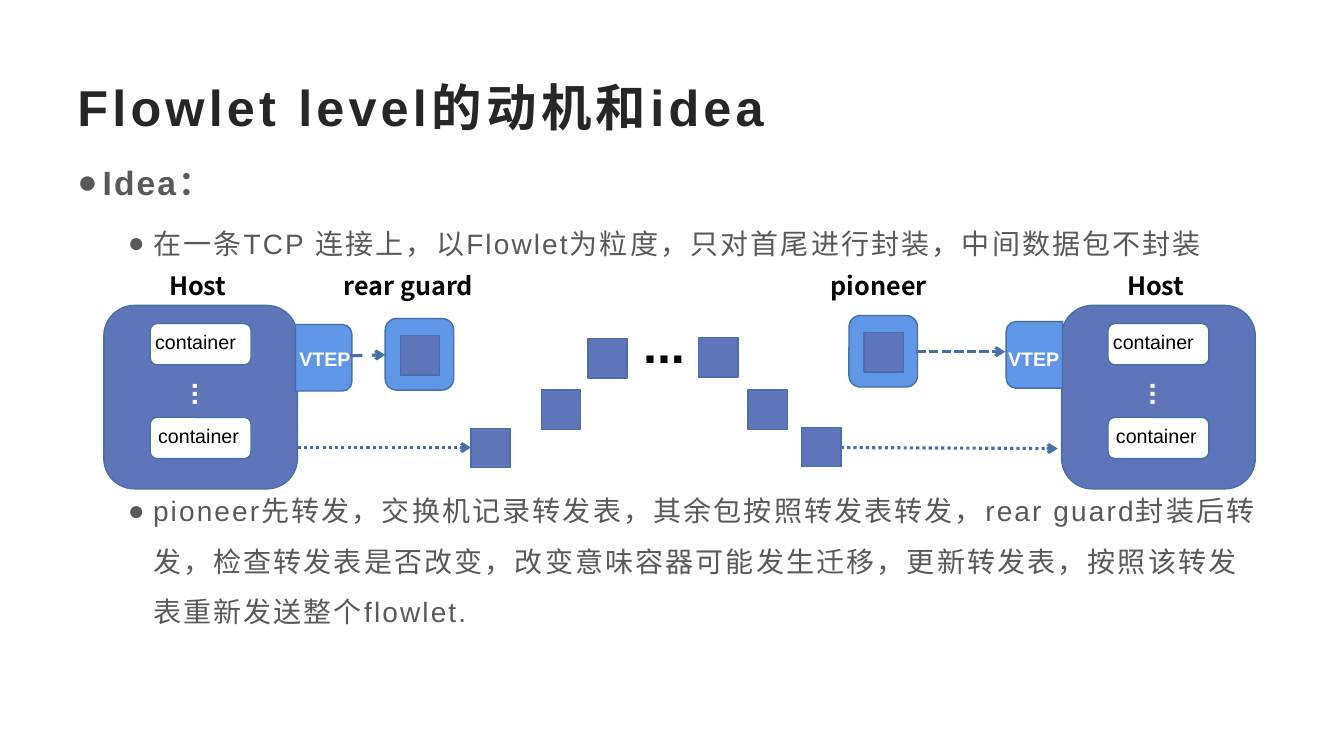
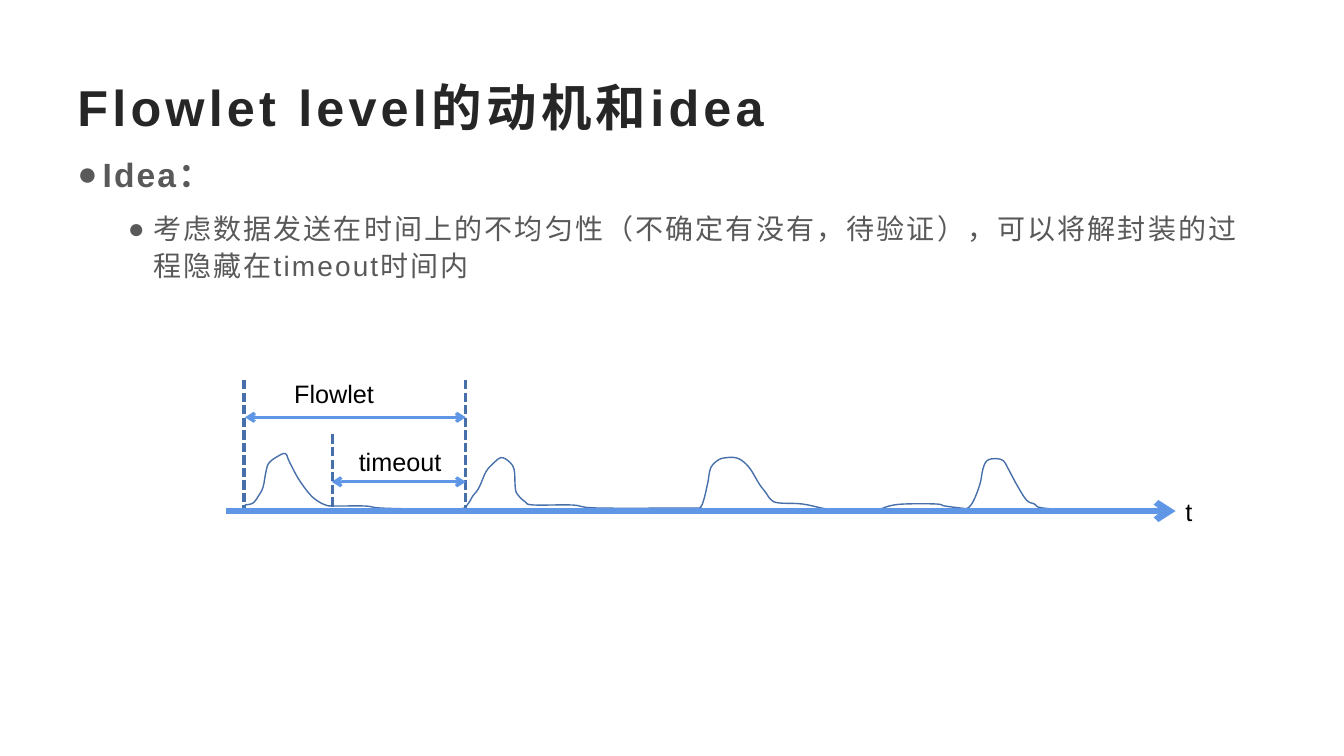
from lxml import etree
from pptx import Presentation
from pptx.dml.color import RGBColor
from pptx.enum.dml import MSO_LINE
from pptx.enum.shapes import MSO_CONNECTOR, MSO_SHAPE
from pptx.enum.text import MSO_ANCHOR
from pptx.oxml.ns import qn
from pptx.util import Inches, Pt

RECT = MSO_SHAPE.RECTANGLE
ROUND_RECT = MSO_SHAPE.ROUNDED_RECTANGLE
TAB = MSO_SHAPE.ROUND_2_SAME_RECTANGLE
STRAIGHT = MSO_CONNECTOR.STRAIGHT
MIDDLE = MSO_ANCHOR.MIDDLE
DASH, SHORT_DASH, DOT = MSO_LINE.DASH, MSO_LINE.SQUARE_DOT, MSO_LINE.ROUND_DOT

LATIN, CJK = "Arial", "Noto Sans CJK SC"
COLORS = {
    "title": "262626", "body": "595959", "black": "000000", "white": "FFFFFF",
    "packet": "5E75BA", "capsule": "6096E6", "outline": "476FAA",
}
TITLE = "Flowlet level的动机和idea"
PACKET = 0.39

# Traffic over time: points of the curve, in inches
TRAFFIC = [
    (2.43, 5.01), (2.51, 4.99), (2.57, 4.91), (2.61, 4.83), (2.64, 4.67), (2.67, 4.59),
    (2.75, 4.53), (2.83, 4.5), (2.87, 4.58), (2.96, 4.75), (3.07, 4.9), (3.15, 4.97),
    (3.23, 5.01), (3.3, 5.02), (3.62, 5.02), (3.77, 5.04), (4.17, 5.05), (4.56, 5.05),
    (4.64, 5), (4.69, 4.92), (4.75, 4.84), (4.82, 4.68), (4.89, 4.6), (4.97, 4.54),
    (5.05, 4.58), (5.1, 4.66), (5.11, 4.83), (5.13, 4.9), (5.21, 4.98), (5.29, 5.01),
    (5.68, 5.01), (5.92, 5.04), (6.87, 5.04), (6.94, 5.04), (6.98, 4.96), (7.02, 4.79),
    (7.05, 4.64), (7.13, 4.56), (7.21, 4.54), (7.29, 4.54), (7.36, 4.57), (7.44, 4.65),
    (7.53, 4.8), (7.59, 4.88), (7.65, 4.96), (7.73, 4.99), (7.96, 5), (8.2, 5.05),
    (8.43, 5.07), (8.66, 5.07), (8.82, 5.02), (8.97, 5), (9.29, 5), (9.37, 5.02),
    (9.53, 5.04), (9.6, 5.04), (9.66, 4.96), (9.72, 4.8), (9.75, 4.65), (9.79, 4.57),
    (9.87, 4.55), (9.95, 4.57), (10, 4.65), (10.08, 4.8), (10.18, 4.96), (10.26, 5),
    (10.34, 5.04), (10.73, 5.06), (11.54, 5.06),
]


def rgb(name):
    return RGBColor.from_string(COLORS[name])


def set_font(paragraph, size, color, bold=False, face=LATIN, spacing=0):
    font = paragraph.font
    font.size, font.bold, font.name = Pt(size), bold, face
    font.color.rgb = rgb(color)
    defaults = paragraph._p.pPr.find(qn("a:defRPr"))
    etree.SubElement(defaults, qn("a:ea"), typeface=CJK)
    if spacing:
        defaults.set("spc", str(int(spacing * 100)))
    return defaults


def add_label(slide, box, text, size, color="black", vertical=False, **style):
    frame = slide.shapes.add_textbox(*map(Inches, box)).text_frame
    frame.word_wrap = True
    paragraph = frame.paragraphs[0]
    paragraph.text = text
    set_font(paragraph, size, color, **style)
    if vertical:
        frame._txBody.bodyPr.set("vert", "eaVert")
    return frame


def add_bullet(paragraph, text, level, line_spacing, space_before=0):
    """Heading bullets are level 0, detail bullets level 1."""
    paragraph.text, paragraph.level = text, level
    paragraph.line_spacing = line_spacing
    paragraph.space_before = Pt(space_before)
    paragraph.space_after = Pt(6 if level else 10)
    defaults = set_font(paragraph, 20 if level else 24, "body", bold=not level, spacing=1.5)
    props = paragraph._p.pPr
    props.set("marL", str(Inches(0.75 if level else 0.25)))
    props.set("indent", str(Inches(-0.25)))
    for tag, attribute, value in (("a:buFont", "typeface", LATIN), ("a:buChar", "char", "●")):
        mark = etree.Element(qn(tag))
        mark.set(attribute, value)
        defaults.addprevious(mark)


def add_idea_slide(prs, body_height, bullets):
    """Title and bulleted body that both slides share."""
    slide = prs.slides.add_slide(prs.slide_layouts[6])
    title = add_label(slide, (0.67, 0.67, 12, 0.77), TITLE, 36, "title", bold=True, spacing=3)
    title.vertical_anchor = MIDDLE
    body = slide.shapes.add_textbox(*map(Inches, (0.67, 1.44, 12, body_height))).text_frame
    body.word_wrap = True
    for i, bullet in enumerate(bullets):
        add_bullet(body.add_paragraph() if i else body.paragraphs[0], *bullet)
    return slide


def add_block(slide, kind, box, fill, rotation=0):
    block = slide.shapes.add_shape(kind, *map(Inches, box))
    block.shadow.inherit = False
    block.fill.solid()
    block.fill.fore_color.rgb = rgb(fill)
    block.line.color.rgb = rgb("outline")
    block.line.width = Pt(1)
    block.rotation = rotation


def add_line(slide, start, end, color="outline", width=2.25, dash=None, arrows=()):
    """arrows lists the ends with a head: headEnd at start, tailEnd at end."""
    line = slide.shapes.add_connector(STRAIGHT, *map(Inches, start + end))
    line.line.color.rgb = rgb(color)
    line.line.width = Pt(width)
    if dash:
        line.line.dash_style = dash
    outline = line._element.spPr.find(qn("a:ln"))
    for tag in arrows:
        etree.SubElement(outline, qn("a:" + tag), type="arrow")
    etree.SubElement(line._element.spPr, qn("a:effectLst"))


def add_host(slide, x):
    add_block(slide, ROUND_RECT, (x, 3.03, 1.92, 1.82), "packet")
    for top, text_x, text_top in ((3.21, 0.41, 3.22), (4.14, 0.44, 4.16)):
        add_block(slide, ROUND_RECT, (x + 0.46, top, 1, 0.41), "white")
        add_label(slide, (x + text_x, text_top, 1.11, 0.34), "container", 14)
    add_label(slide, (x + 0.67, 3.7, 0.54, 0.58), "...", 20, "white", vertical=True, bold=True)
    add_label(slide, (x + 0.55, 2.63, 0.83, 0.4), "Host", 18, bold=True, face=CJK)


def add_vtep(slide, x, y, rotation, text_x):
    add_block(slide, TAB, (x, y, 0.66, 0.56), "capsule", rotation)
    add_label(slide, (text_x, 3.39, 0.8, 0.34), "VTEP", 14, "white", bold=True)


def add_packet(slide, x, y):
    add_block(slide, RECT, (x, y, PACKET, PACKET), "packet")


def add_encapsulated(slide, x, y, name, name_x, name_width):
    add_block(slide, ROUND_RECT, (x, y, 0.68, 0.71), "capsule")
    add_packet(slide, x + 0.15, y + 0.17)
    add_label(slide, (name_x, 2.63, name_width, 0.4), name, 18, bold=True, face=CJK)


def smooth(points, steps=4):
    """Catmull-Rom interpolation through the points."""
    padded = [points[0], *points, points[-1]]
    curve = [points[0]]
    for a, b, c, d in zip(padded, padded[1:], padded[2:], padded[3:]):
        for step in range(1, steps + 1):
            t = step / steps
            curve.append(tuple(
                0.5 * (2 * q + (r - p) * t + (2 * p - 5 * q + 4 * r - s) * t ** 2
                       + (3 * q - p - 3 * r + s) * t ** 3)
                for p, q, r, s in zip(a, b, c, d)))
    return curve


def add_traffic_curve(slide):
    start, *rest = [(Inches(x), Inches(y)) for x, y in smooth(TRAFFIC)]
    builder = slide.shapes.build_freeform(*start)
    builder.add_line_segments(rest, close=False)
    curve = builder.convert_to_shape()
    curve.shadow.inherit = False
    curve.fill.background()
    curve.line.color.rgb = rgb("outline")
    curve.line.width = Pt(1)


def build_encapsulation(prs):
    slide = add_idea_slide(prs, 5.4, [
        ("Idea：", 0, 1.3),
        ("在一条TCP 连接上，以Flowlet为粒度，只对首尾进行封装，中间数据包不封装", 1, 1.3),
        ("pioneer先转发，交换机记录转发表，其余包按照转发表转发，rear guard封装后转发，"
         "检查转发表是否改变，改变意味容器可能发生迁移，更新转发表，"
         "按照该转发表重新发送整个flowlet.", 1, 1.5, 149),
    ])
    # Hosts and their tunnel end points
    for x in (1.03, 10.53):
        add_host(slide, x)
    add_vtep(slide, 2.88, 3.27, 90, 2.87)
    add_vtep(slide, 9.93, 3.24, 270, 9.9)

    # Packets of one flowlet
    add_encapsulated(slide, 3.82, 3.16, "rear guard", 3.31, 2.16)
    add_encapsulated(slide, 8.42, 3.13, "pioneer", 8.14, 1.43)
    for x, y in ((4.67, 4.25), (5.37, 3.87), (5.83, 3.36),
                 (6.93, 3.35), (7.42, 3.87), (7.95, 4.24)):
        add_packet(slide, x, y)
    add_label(slide, (6.28, 3.06, 1.57, 0.71), "...", 36, bold=True)

    # Paths
    for start, end, dash in (
        ((2.95, 4.44), (4.67, 4.44), DOT),
        ((3.47, 3.53), (3.82, 3.52), DASH),
        ((9.09, 3.49), (9.97, 3.49), SHORT_DASH),
        ((8.34, 4.44), (10.49, 4.45), DOT),
    ):
        add_line(slide, start, end, dash=dash, arrows=["tailEnd"])


def build_timeline(prs):
    slide = add_idea_slide(prs, 2.88, [
        ("Idea：", 0, 1.1),
        ("考虑数据发送在时间上的不均匀性（不确定有没有，待验证），"
         "可以将解封装的过程隐藏在timeout时间内", 1, 1.1),
    ])
    add_traffic_curve(slide)

    # Interval limits and spans
    for x, top in ((2.42, 3.77), (4.62, 3.77), (3.3, 4.31)):
        add_line(slide, (x, top), (x, 5.05), dash=SHORT_DASH)
    for left, y in ((2.43, 4.14), (3.29, 4.78)):
        add_line(slide, (left, y), (4.62, y), "capsule", arrows=["headEnd", "tailEnd"])

    # Time axis and labels
    add_line(slide, (2.24, 5.07), (11.66, 5.07), "capsule", 4.5, arrows=["tailEnd"])
    for box, text in (
        ((2.82, 3.7, 1.36, 0.4), "Flowlet"),
        ((3.46, 4.38, 1.89, 0.4), "timeout"),
        ((11.66, 4.87, 0.56, 0.4), "t"),
    ):
        add_label(slide, box, text, 18)


def main():
    prs = Presentation()
    prs.slide_width, prs.slide_height = Inches(13.33), Inches(7.5)
    build_encapsulation(prs)
    build_timeline(prs)
    prs.save("out.pptx")


if __name__ == "__main__":
    main()
